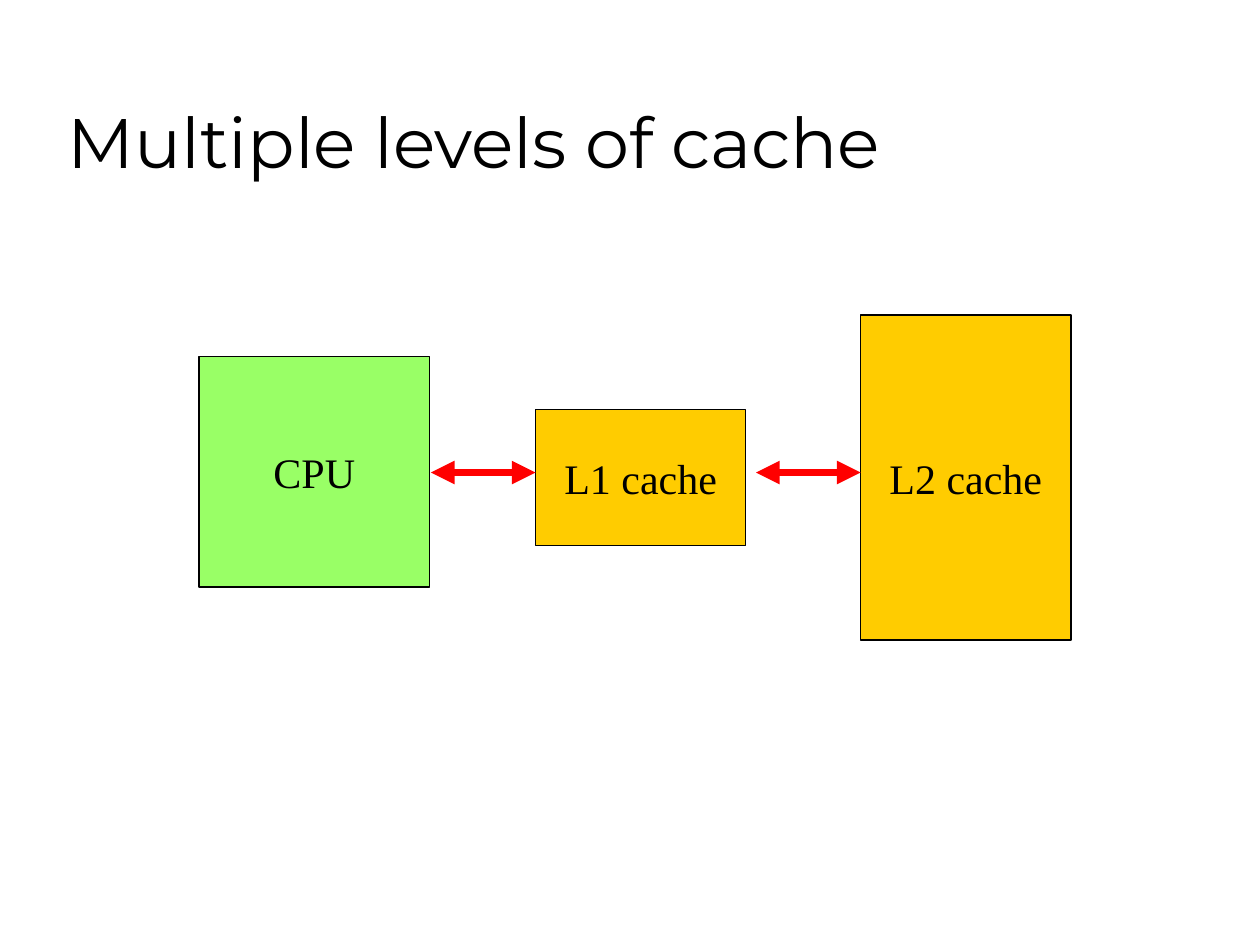
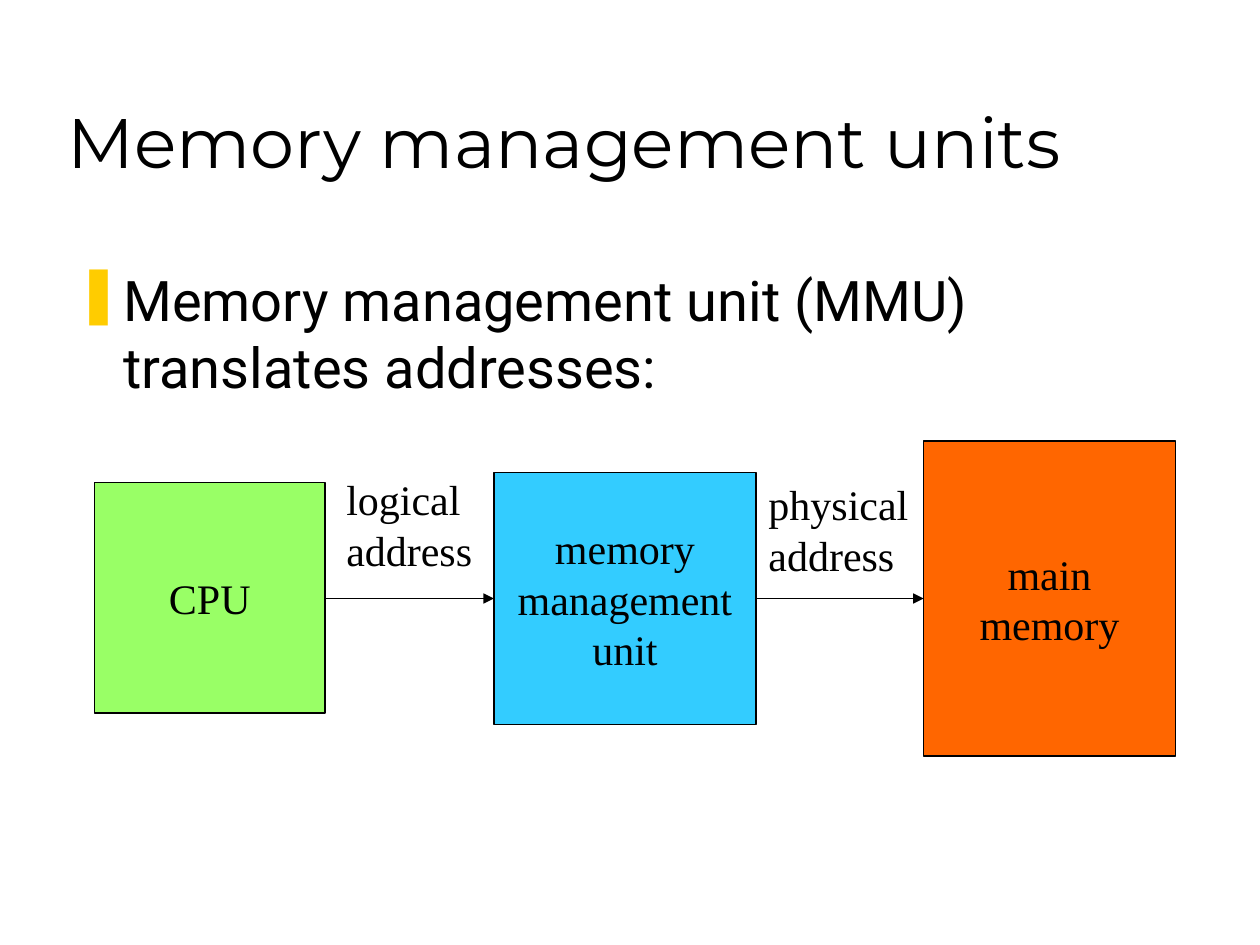
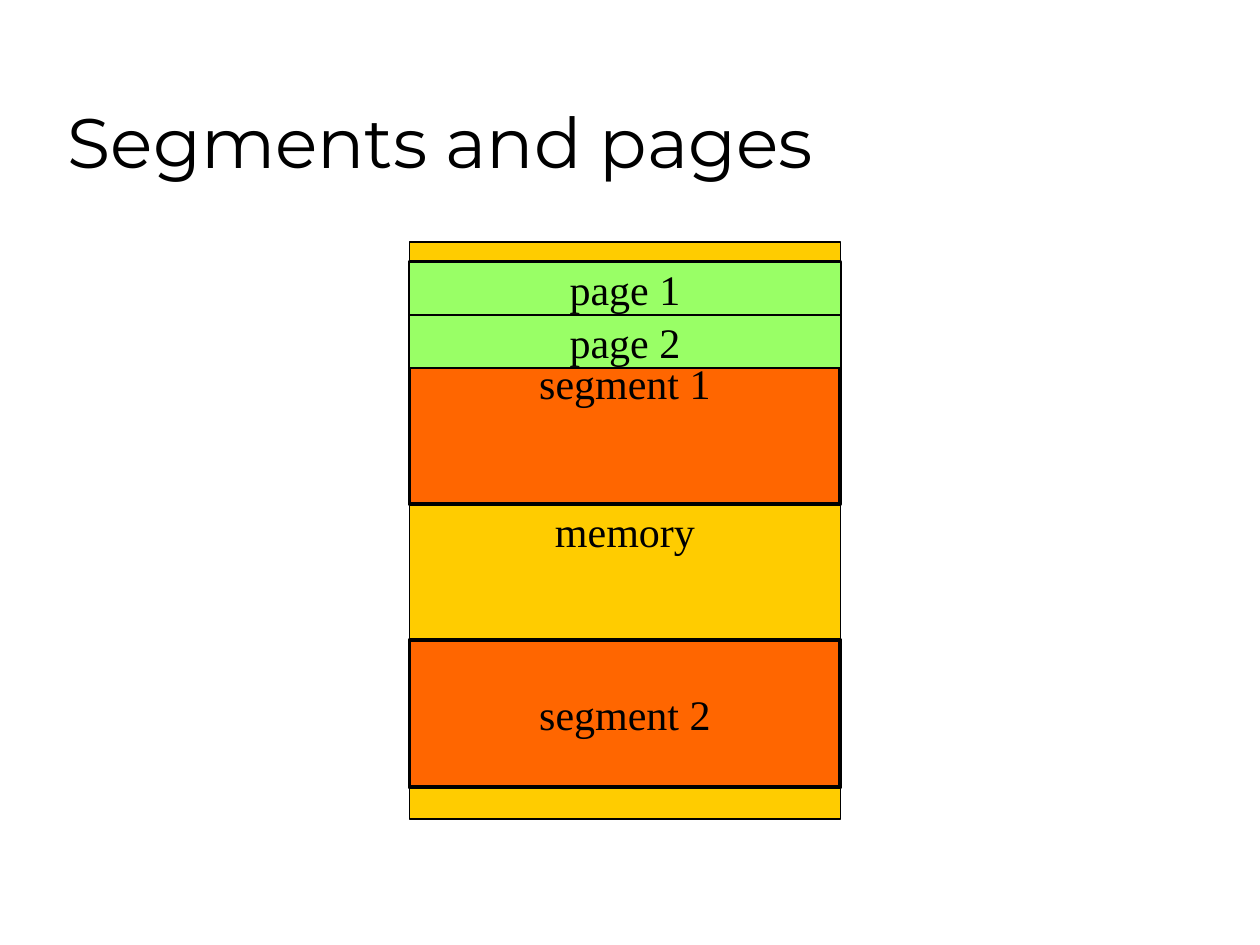
from dataclasses import dataclass
from typing import Any

from lxml.etree import SubElement as Sub
from pptx import Presentation
from pptx.dml.color import RGBColor as Color
from pptx.enum.shapes import MSO_CONNECTOR as Link, MSO_SHAPE as Form
from pptx.enum.text import MSO_ANCHOR as Anchor, PP_ALIGN as Align
from pptx.oxml.ns import qn
from pptx.util import Inches, Pt


# Theme shared by all slides
@dataclass(frozen=True)
class Theme:
    black: str = "000000"
    white: str = "FFFFFF"
    red: str = "FF0000"
    green: str = "99FF66"
    gold: str = "FFCC00"
    blue: str = "33CCFF"
    orange: str = "FF6600"
    thin: float = 0.75
    thick: float = 2.25
    heavy: float = 4.5


theme = Theme()
HEAD = {"name": "Montserrat", "size": Pt(40)}
BODY = {"name": "Roboto", "size": Pt(32)}
LABEL = {"name": "Times New Roman", "size": Pt(24)}


# Repeated elements
@dataclass(frozen=True)
class Box:
    text: str
    left: float
    top: float
    width: float
    height: float
    fill: str
    line: float = theme.thin


@dataclass(frozen=True)
class Arrow:
    start: float
    end: float
    y: float
    color: str = theme.black
    line: float = theme.thin
    both: bool = False


@dataclass(frozen=True)
class Note:
    text: str
    left: float
    top: float
    width: float
    height: float
    font: dict[str, Any]
    anchor: Anchor = Anchor.TOP
    wrap: bool = False


def apply(target: Any, values: dict[str, Any]) -> None:
    for key, value in values.items():
        setattr(target, key, value)


def write(frame: Any, text: str, font: dict[str, Any], align: Align,
          anchor: Anchor, wrap: bool) -> None:
    apply(frame, {"text": text, "word_wrap": wrap, "vertical_anchor": anchor})
    for para in frame.paragraphs:
        para.alignment = align
        for run in para.runs:
            apply(run.font, font)
            run.font.color.rgb = Color.from_string(theme.black)


def stroke(line: Any, color: str, width: float) -> None:
    line.color.rgb = Color.from_string(color)
    line.width = Pt(width)


def place(item: Box | Note) -> list[int]:
    return [Inches(n) for n in (item.left, item.top, item.width, item.height)]


def add_box(slide: Any, box: Box) -> None:
    shape = slide.shapes.add_shape(Form.RECTANGLE, *place(box))
    shape.shadow.inherit = False
    shape.fill.solid()
    shape.fill.fore_color.rgb = Color.from_string(box.fill)
    stroke(shape.line, theme.black, box.line)
    write(shape.text_frame, box.text, LABEL, Align.CENTER, Anchor.MIDDLE, False)


def add_note(slide: Any, note: Note) -> Any:
    frame = slide.shapes.add_textbox(*place(note)).text_frame
    write(frame, note.text, note.font, Align.LEFT, note.anchor, note.wrap)
    return frame


def add_arrow(slide: Any, arrow: Arrow) -> None:
    y = Inches(arrow.y)
    link = slide.shapes.add_connector(
        Link.STRAIGHT, Inches(arrow.start), y, Inches(arrow.end), y)
    stroke(link.line, arrow.color, arrow.line)
    tags = ["a:headEnd", "a:tailEnd"] if arrow.both else ["a:tailEnd"]
    for tag in tags:
        Sub(link.line._get_or_add_ln(), qn(tag), type="triangle")
    Sub(link._element.spPr, qn("a:effectLst"))


def add_bullet(slide: Any, note: Note) -> None:
    para = add_note(slide, note).paragraphs[0]
    props = para._p.get_or_add_pPr()
    indent = Inches(0.38)
    props.set("marL", str(indent))
    props.set("indent", str(-indent))
    Sub(Sub(props, qn("a:buClr")), qn("a:srgbClr"), val=theme.gold)
    Sub(props, qn("a:buChar"), char="❚")


def add_slide(deck: Any, title: str) -> Any:
    slide = deck.slides.add_slide(deck.slide_layouts[6])
    back = slide.background.fill
    back.solid()
    back.fore_color.rgb = Color.from_string(theme.white)
    add_note(slide, Note(title, 0.44, 0.25, 8.5, 1.25, HEAD, Anchor.BOTTOM, True))
    return slide


DRAW = {Box: add_box, Note: add_note, Arrow: add_arrow}


def draw(slide: Any, items: list[Box | Note | Arrow]) -> None:
    for item in items:
        DRAW[type(item)](slide, item)


def main() -> None:
    deck = Presentation()
    apply(deck, {"slide_width": Inches(10), "slide_height": Inches(7.5)})

    # Cache levels
    red = {"color": theme.red, "line": theme.heavy, "both": True}
    draw(add_slide(deck, "Multiple levels of cache"), [
        Box("CPU", 1.58, 2.83, 1.83, 1.83, theme.green),
        Box("L1 cache", 4.25, 3.25, 1.67, 1.08, theme.gold),
        Box("L2 cache", 6.83, 2.5, 1.67, 2.58, theme.gold),
        Arrow(3.42, 4.25, 3.75, **red),
        Arrow(6, 6.83, 3.75, **red),
    ])

    # Address translation
    slide = add_slide(deck, "Memory management units")
    add_bullet(slide, Note("Memory management unit (MMU) translates addresses:",
                           0.5, 2.06, 8.94, 1.19, BODY, wrap=True))
    draw(slide, [
        Box("CPU", 0.75, 3.83, 1.83, 1.83, theme.green),
        Box("main\nmemory", 7.33, 3.5, 2, 2.5, theme.orange),
        Box("memory\nmanagement\nunit", 3.92, 3.75, 2.08, 2, theme.blue),
        Arrow(2.58, 3.92, 4.75),
        Arrow(6, 7.33, 4.75),
        Note("logical\naddress", 2.65, 3.71, 1.2, 0.9, LABEL),
        Note("physical\naddress", 6, 3.75, 1.31, 0.9, LABEL),
    ])

    # Memory map: segments over memory, pages over the first segment
    left, width, top, row = 3.25, 3.42, 2.08, 0.42
    draw(add_slide(deck, "Segments and pages"), [
        Box("memory", left, 1.92, width, 4.58, theme.gold),
        Box("segment 1", left, top, width, 1.92, theme.orange, theme.thick),
        Box("segment 2", left, 5.08, width, 1.17, theme.orange, theme.thick),
        *(Box(f"page {i + 1}", left, top + i * row, width, row, theme.green)
          for i in range(2)),
    ])

    deck.save("out.pptx")


if __name__ == "__main__":
    main()
